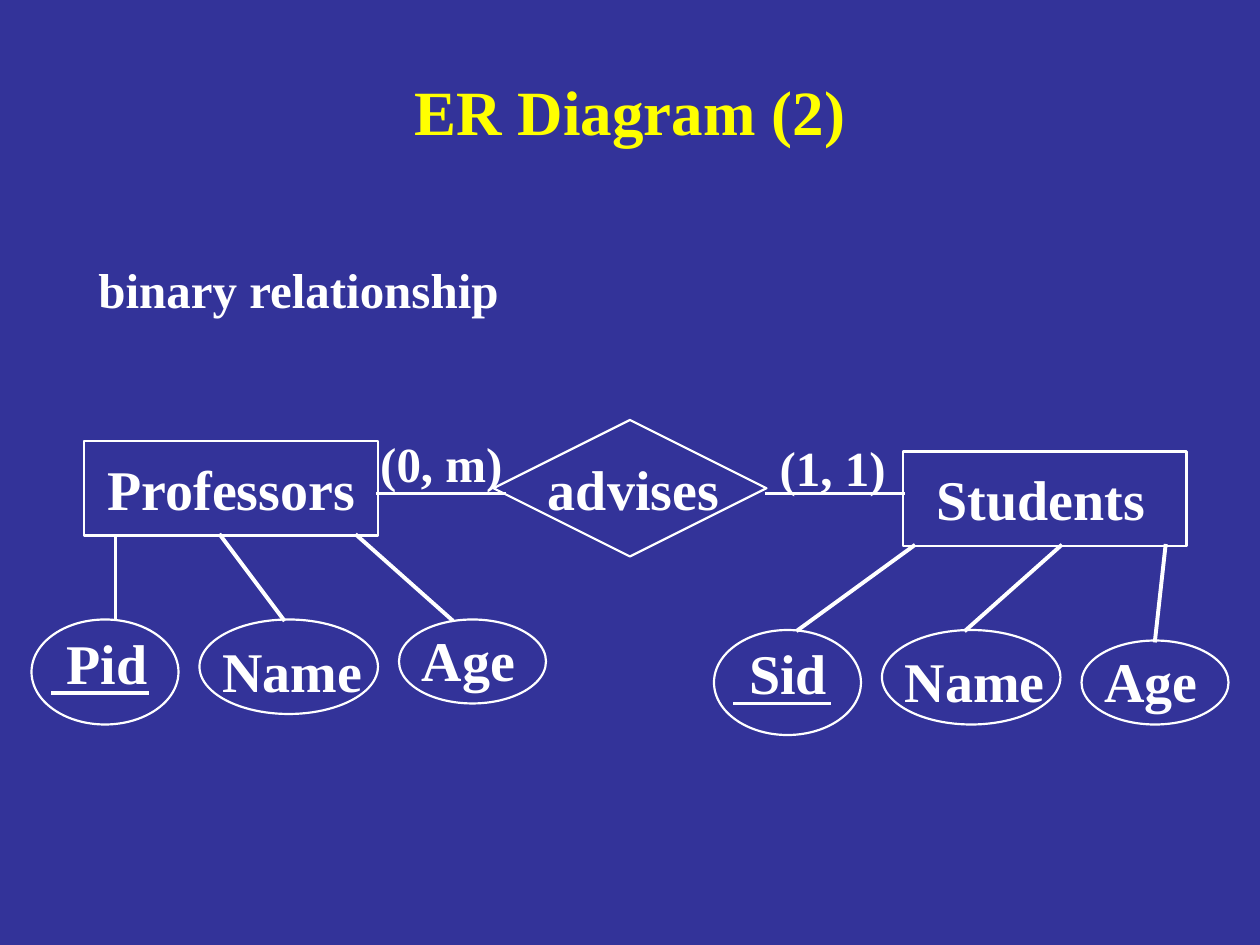
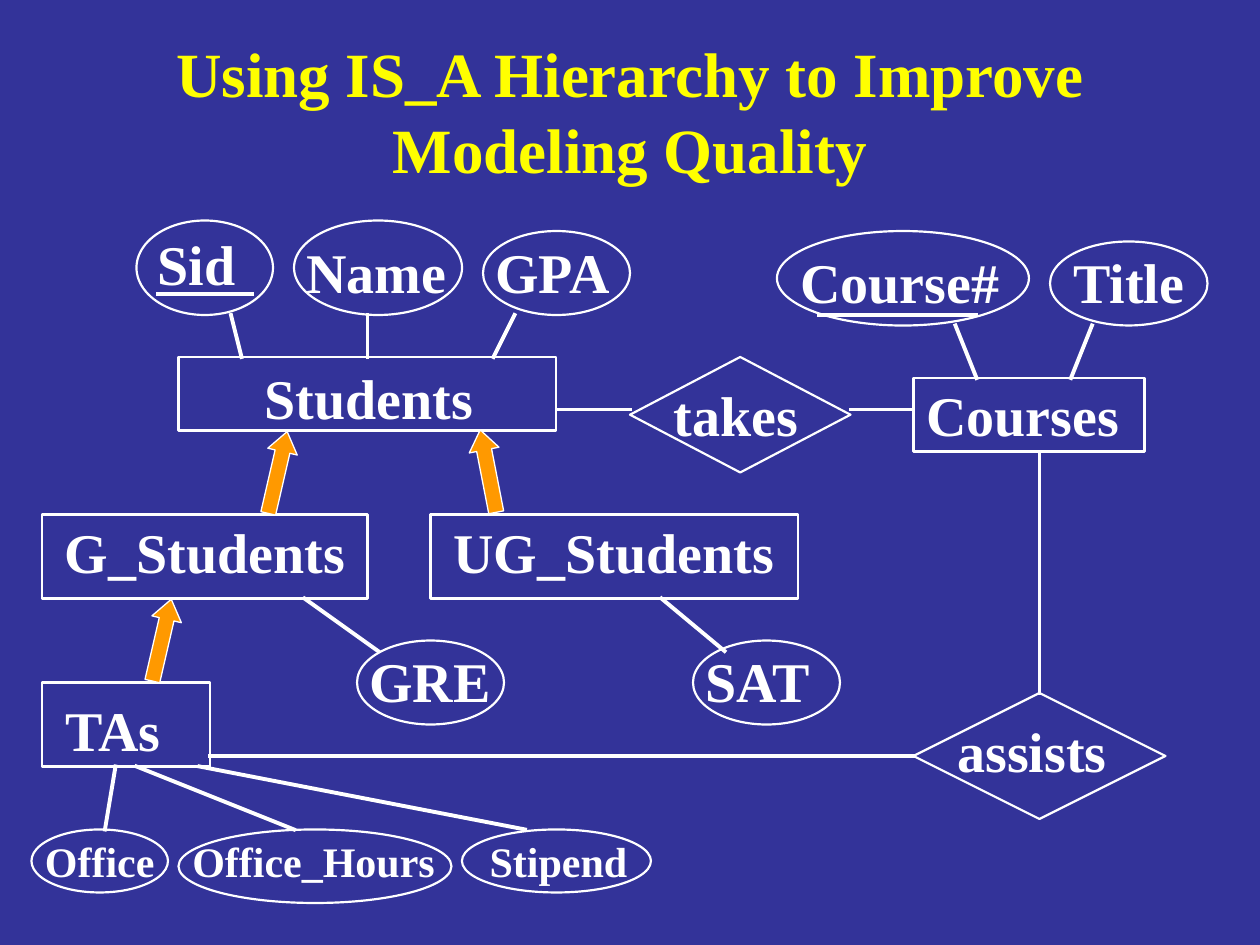
from dataclasses import dataclass

from pptx import Presentation
from pptx.dml.color import RGBColor
from pptx.enum.shapes import MSO_CONNECTOR, MSO_SHAPE
from pptx.enum.text import MSO_ANCHOR, PP_ALIGN
from pptx.oxml.xmlchemy import OxmlElement
from pptx.util import Pt

STRAIGHT = MSO_CONNECTOR.STRAIGHT
RECTANGLE, ELLIPSE = MSO_SHAPE.RECTANGLE, MSO_SHAPE.OVAL
DIAMOND, ARROW = MSO_SHAPE.DIAMOND, MSO_SHAPE.RIGHT_ARROW
MIDDLE, CENTER = MSO_ANCHOR.MIDDLE, PP_ALIGN.CENTER
TOP, LEFT, BOTTOM = 0, 1, 2


@dataclass(frozen=True)
class Theme:
    background: RGBColor = RGBColor(0x33, 0x33, 0x99)
    title: RGBColor = RGBColor(0xFF, 0xFF, 0x00)
    ink: RGBColor = RGBColor(0xFF, 0xFF, 0xFF)
    arrow: RGBColor = RGBColor(0xFF, 0x99, 0x00)
    font: str = "Times New Roman"
    title_size: int = 36
    name_size: int = 32
    note_size: int = 28
    small_size: int = 24
    outline: float = 1.25
    link: float = 2.25
    arrow_outline: float = 0.75


THEME = Theme()

# Width of each label's text box, with a little room to spare
LABEL_WIDTHS = {
    "binary relationship": 246, "(0, m)": 87, "(1, 1)": 78,
    "advises": 115, "takes": 89, "assists": 102,
    "Professors": 159, "Students": 136, "Courses": 127,
    "G_Students": 177, "UG_Students": 200, "TAs": 74,
    "Pid": 64, "Sid": 62, "Name": 97, "Age": 71, "GPA": 85,
    "GRE": 87, "SAT": 79, "Course#": 131, "Title": 81,
    "Office": 80, "Office_Hours": 156, "Stipend": 96,
}


@dataclass
class Attribute:
    """Ellipse of an entity; box is relative to the entity, the rest to box."""
    name: str
    box: tuple
    label: tuple
    root: float            # x on the entity's edge
    tip: tuple             # where the link meets the ellipse
    key_line: tuple = ()   # left, right, y of the underline of a key
    size: int = THEME.name_size


def pid_or_sid(name, left, top, root):
    return Attribute(name, (left, top, 84, 60), (13, 1.5), root, (48, 0), (12, 66, 42))


def person_name(left, top, root):
    return Attribute("Name", (left, top, 102, 54), (6, 6), root, (48, 0))


def age(left, top, root, tip_x):
    return Attribute("Age", (left, top, 84, 48), (6, 0), root, (tip_x, 0))


def shift(origin, offset):
    return origin[0] + offset[0], origin[1] + offset[1]


def style_text(paragraph, size, color):
    font = paragraph.font
    font.name, font.size, font.bold = THEME.font, Pt(size), True
    font.color.rgb = color


def add_label(slide, text, position, size=THEME.name_size):
    box = slide.shapes.add_textbox(
        *map(Pt, (*position, LABEL_WIDTHS[text], round(size * 1.2 + 7.2, 1))))
    frame = box.text_frame
    frame.word_wrap = True
    frame.text = text
    style_text(frame.paragraphs[0], size, THEME.ink)


def add_outline(slide, kind, box, width=THEME.outline):
    shape = slide.shapes.add_shape(kind, *map(Pt, box))
    shape.shadow.inherit = False
    shape.fill.background()
    shape.line.color.rgb = THEME.ink
    shape.line.width = Pt(width)
    return shape


def add_link(slide, start, end):
    link = slide.shapes.add_connector(STRAIGHT, *map(Pt, (*start, *end)))
    link.line.color.rgb = THEME.ink
    link.line.width = Pt(THEME.link)
    properties = link._element.spPr
    properties.ln.set("cap", "sq")
    properties.append(OxmlElement("a:effectLst"))
    return link


def add_slide(deck, title, box):
    slide = deck.slides.add_slide(deck.slide_layouts[6])
    slide.background.fill.solid()
    slide.background.fill.fore_color.rgb = THEME.background
    frame = slide.shapes.add_textbox(*map(Pt, box)).text_frame
    frame.word_wrap = True
    frame.vertical_anchor = MIDDLE
    frame.text = title
    heading = frame.paragraphs[0]
    heading.alignment = CENTER
    style_text(heading, THEME.title_size, THEME.title)
    return slide


def draw_entity(slide, box, name, label, attributes):
    """Rectangle with its name, and its attributes above or below."""
    origin, (width, height) = box[:2], box[2:]
    entity = add_outline(slide, RECTANGLE, box)
    add_label(slide, name, shift(origin, label))
    for attribute in attributes:
        corner = shift(origin, attribute.box[:2])
        add_outline(slide, ELLIPSE, (*corner, *attribute.box[2:]))
        add_label(slide, attribute.name, shift(corner, attribute.label), attribute.size)
        if attribute.key_line:
            left, right, y = attribute.key_line
            add_link(slide, shift(corner, (left, y)), shift(corner, (right, y)))
        above = attribute.box[1] < 0
        root = shift(origin, (attribute.root, 0 if above else height))
        link = add_link(slide, root, shift(corner, attribute.tip))
        if attribute.root * 2 == width:
            link.begin_connect(entity, TOP if above else BOTTOM)


def draw_relationship(slide, box, name, label):
    diamond = add_outline(slide, DIAMOND, box)
    add_label(slide, name, shift(box[:2], label))
    return diamond


def draw_is_a(slide, center, angle):
    """Arrow from a subtype up to its supertype."""
    width, height = 48, 17.3
    x, y = center
    arrow = add_outline(slide, ARROW, (x - width / 2, y - height / 2, width, height),
                        THEME.arrow_outline)
    arrow.fill.solid()
    arrow.fill.fore_color.rgb = THEME.arrow
    arrow.adjustments[0], arrow.adjustments[1] = 0.5, 0.68
    arrow.rotation = angle


def build_binary_relationship(deck):
    slide = add_slide(deck, "ER Diagram (2)", (54, 30, 612, 66))
    add_label(slide, "binary relationship", (49.2, 144.7), THEME.note_size)

    # Entities
    draw_entity(slide, (48, 252, 168, 54), "Professors", (6.3, 4.3), [
        pid_or_sid("Pid", -30, 102, 18),
        person_name(66, 102, 78),
        age(180, 102, 156, 30),
    ])
    draw_entity(slide, (516, 258, 162, 54), "Students", (12, 4.1), [
        pid_or_sid("Sid", -108, 102, 6),
        person_name(-12, 102, 90),
        age(102, 108, 150, 42),
    ])

    # Relationship with its cardinalities
    draw_relationship(slide, (282, 240, 156, 78), "advises", (24, 16.3))
    add_link(slide, (216, 282), (288, 282))
    add_link(slide, (438, 282), (516, 282))
    add_label(slide, "(0, m)", (210.2, 244), THEME.note_size)
    add_label(slide, "(1, 1)", (438.5, 246.2), THEME.note_size)


def build_is_a_hierarchy(deck):
    slide = add_slide(deck, "Using IS_A Hierarchy to Improve Modeling Quality",
                      (54, 18, 612, 90))
    small = THEME.small_size

    # Entities
    draw_entity(slide, (102, 204, 216, 42), "Students", (42, 0), [
        Attribute("Sid", (-24, -78, 78, 54), (5, 1.5), 36, (54, 54), (12, 66, 42)),
        Attribute("Name", (66, -78, 96, 54), (0, 6), 108, (42, 54)),
        Attribute("GPA", (174, -72, 84, 48), (0, 0), 180, (18, 48)),
    ])
    draw_entity(slide, (522, 216, 132, 42), "Courses", (0.3, -2), [
        Attribute("Course#", (-78, -84, 144, 54), (6.2, 6), 36, (102, 54), (24, 114, 48)),
        Attribute("Title", (78, -78, 90, 48), (6.2, 0), 90, (24, 48)),
    ])
    draw_entity(slide, (24, 294, 186, 48), "G_Students", (6, -2), [
        Attribute("GRE", (180, 72, 84, 48), (0, 0), 150, (12, 6)),
    ])
    draw_entity(slide, (246, 294, 210, 48), "UG_Students", (6, -2), [
        Attribute("SAT", (150, 72, 84, 48), (0, 0), 132, (18, 6)),
    ])
    draw_entity(slide, (24, 390, 96, 48), "TAs", (6.2, 4), [
        Attribute("Office", (-6, 84, 78, 36), (0.6, 0), 42, (42, 0), size=small),
        Attribute("Office_Hours", (78, 84, 156, 42), (0.8, 0), 54, (66, 0), size=small),
        Attribute("Stipend", (240, 84, 108, 36), (8.7, 0), 90, (36, 0), size=small),
    ])

    # Relationships
    draw_relationship(slide, (360, 204, 126, 66), "takes", (18, 10))
    add_link(slide, (318, 234), (360, 234))
    add_link(slide, (486, 234), (522, 234))
    assists = draw_relationship(slide, (522, 396, 144, 72), "assists", (18, 10))
    add_link(slide, (120, 432), (522, 432)).end_connect(assists, LEFT)
    add_link(slide, (594, 258), (594, 396)).end_connect(assists, TOP)

    # IS_A arrows
    for center, angle in (((279, 269.2), 259), ((158.7, 270), 283), ((92.5, 365.8), 283)):
        draw_is_a(slide, center, angle)


def main():
    deck = Presentation()
    deck.slide_width, deck.slide_height = Pt(720), Pt(540)
    build_binary_relationship(deck)
    build_is_a_hierarchy(deck)
    deck.save("out.pptx")


if __name__ == "__main__":
    main()
